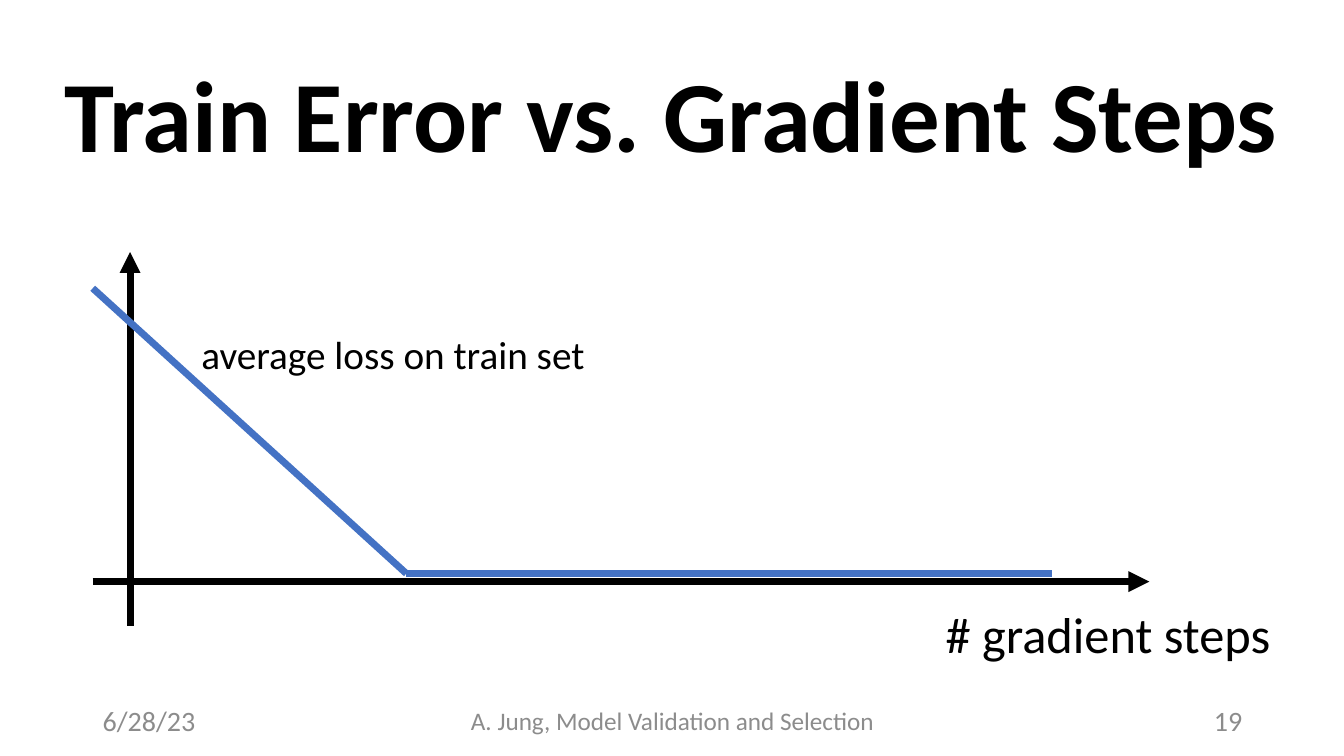
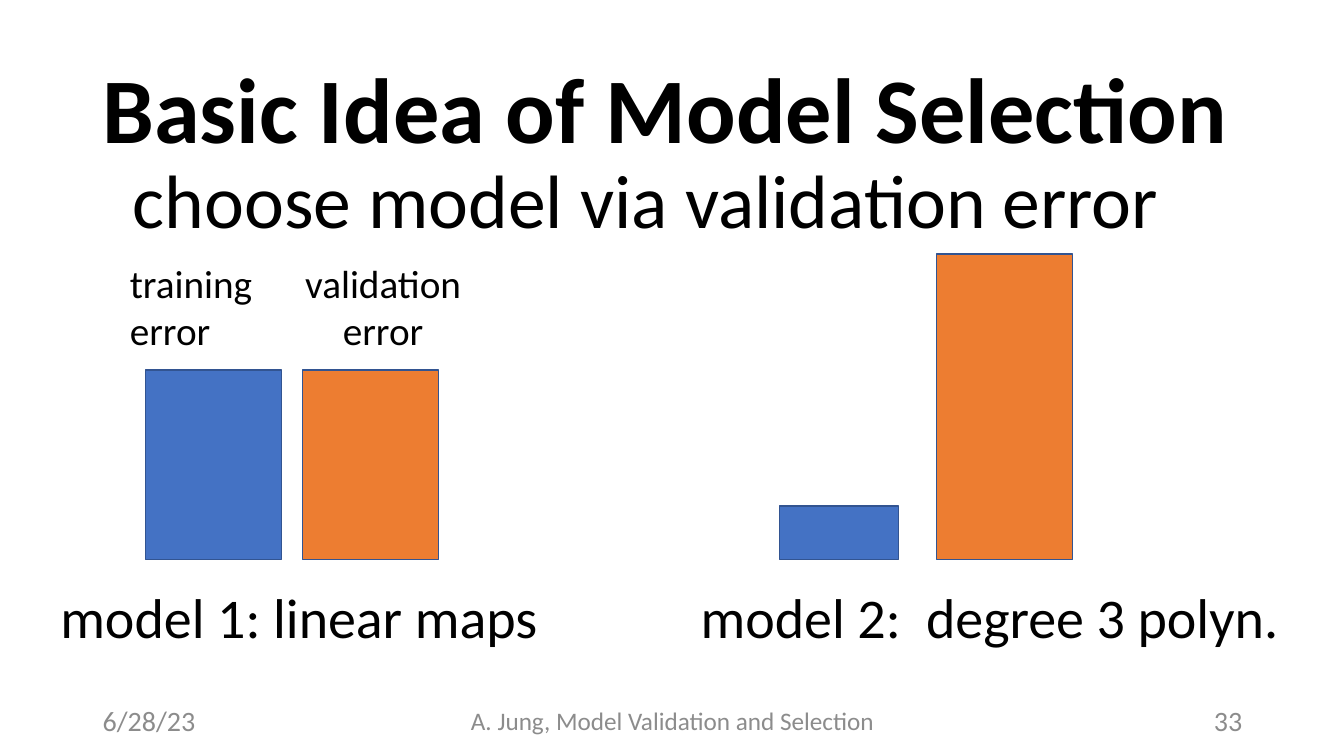
from pptx import Presentation
from pptx.dml.color import RGBColor
from pptx.enum.shapes import MSO_CONNECTOR as Link, MSO_SHAPE as Shape
from pptx.enum.text import MSO_ANCHOR as Anchor, PP_ALIGN as Align
from pptx.oxml.ns import qn
from pptx.util import Inches, Pt
from lxml.etree import SubElement

BLACK, GREY, BLUE, ORANGE, EDGE = "000000", "8C8C8C", "4472C4", "ED7D31", "325491"
FONT = "Calibri"


def paint(text):
    return RGBColor.from_string(text)


class Deck:
    def __init__(self):
        self.file = Presentation()
        self.file.slide_width = Inches(13.33)
        self.file.slide_height = Inches(7.5)
        self.slide = None

    def page(self, number):
        self.slide = self.file.slides.add_slide(self.file.slide_layouts[6])
        # Footer: date, lecture, slide number
        top, high = 6.95, 0.4
        self.text("6/28/23", 0.92, top, 3, high, 20, GREY, anchor=Anchor.MIDDLE)
        self.text("A. Jung, Model Validation and Selection", 4.42, top, 4.5, high,
                  18, GREY, Align.CENTER, Anchor.MIDDLE)
        self.text(str(number), 9.42, top, 3, high, 20, GREY, Align.RIGHT, Anchor.MIDDLE)

    def text(self, words, left, top, wide, high, size, color=BLACK, align=Align.LEFT,
             anchor=Anchor.TOP, bold=False, space=None, before=0):
        box = self.slide.shapes.add_textbox(
            Inches(left), Inches(top), Inches(wide), Inches(high))
        frame = box.text_frame
        frame.word_wrap = True
        frame.vertical_anchor = anchor
        frame.text = words
        for para in frame.paragraphs:
            para.alignment = align
            para.line_spacing = space
            para.space_before = Pt(before)
            for run in para.runs:
                font = run.font
                font.name, font.size, font.bold = FONT, Pt(size), bold
                font.color.rgb = paint(color)

    def title(self, words, left, top, wide, size):
        self.text(words, left, top, wide, 1.45, size,
                  anchor=Anchor.MIDDLE, bold=True, space=0.9)

    def line(self, start, end, color, arrow=False):
        link = self.slide.shapes.add_connector(
            Link.STRAIGHT, *[Inches(n) for n in (*start, *end)])
        link.line.color.rgb = paint(color)
        link.line.width = Pt(5)
        props = link.element.spPr
        if arrow:
            SubElement(props.find(qn("a:ln")), qn("a:tailEnd"), type="triangle")
        SubElement(props, qn("a:effectLst"))

    def bar(self, left, base, wide, high, color):
        rect = self.slide.shapes.add_shape(
            Shape.RECTANGLE, Inches(left), Inches(base - high), Inches(wide), Inches(high))
        rect.shadow.inherit = False
        rect.fill.solid()
        rect.fill.fore_color.rgb = paint(color)
        rect.line.color.rgb = paint(EDGE)
        rect.line.width = Pt(1)


deck = Deck()

# Train error against gradient steps
deck.page(19)
deck.title("Train Error vs. Gradient Steps", 0.54, 0.46, 12.79, 72)

# Axes
deck.line((0.92, 5.77), (11.4, 5.77), BLACK, arrow=True)
deck.line((1.29, 6.21), (1.29, 2.5), BLACK, arrow=True)
deck.text("# gradient steps", 9.28, 5.93, 3.88, 0.71, 36)

# Loss curve: falls to the knee, then stays flat
knee = (4.03, 5.69)
deck.line(knee, (10.43, 5.69), BLUE)
deck.line(knee, (0.92, 2.86), BLUE)
deck.text("average loss on train set", 1.9, 3.23, 4.04, 0.57, 28)

# Model selection
deck.page(33)
deck.title("Basic Idea of Model Selection", 0.92, 0.4, 11.5, 66)
deck.text("choose model via validation error", 1.22, 1.64, 11.5, 0.86, 54,
          space=0.8, before=10)

# Error bars on one base line
base = 5.55
for left, wide, high, color in [
    (1.44, 1.35, 1.88, BLUE), (3, 1.35, 1.88, ORANGE),
    (7.73, 1.18, 0.53, BLUE), (9.29, 1.35, 3.03, ORANGE),
]:
    deck.bar(left, base, wide, high, color)

# Bar and model labels
deck.text("training\nerror", 1.19, 2.52, 1.6, 1.04, 28)
deck.text("validation\nerror", 2.8, 2.52, 2, 1.04, 28, align=Align.CENTER)
deck.text("model 1: linear maps", 0.5, 5.73, 5.1, 0.77, 40)
deck.text("model 2:  degree 3 polyn.", 6.85, 5.73, 6.48, 0.77, 40)

deck.file.save("out.pptx")
